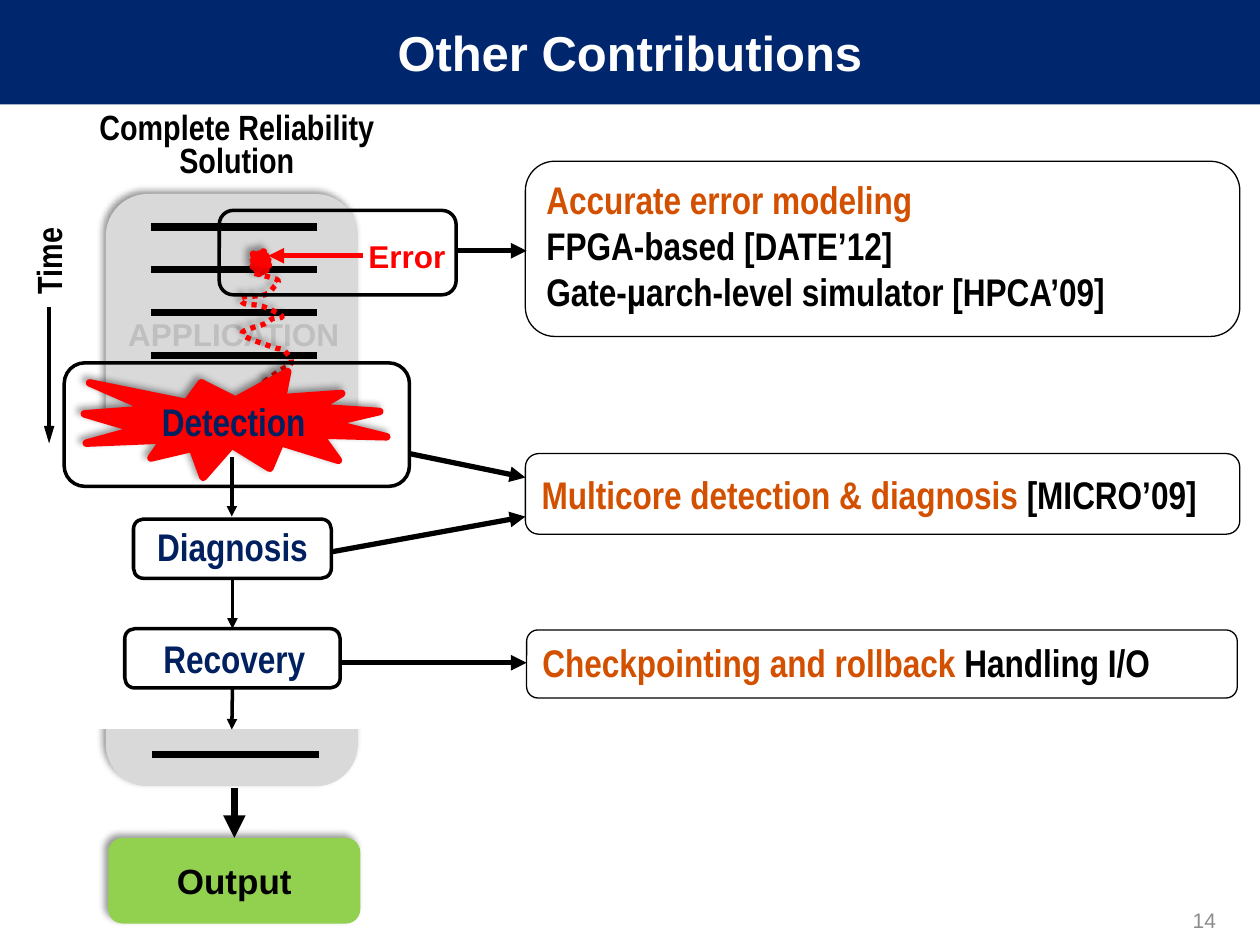
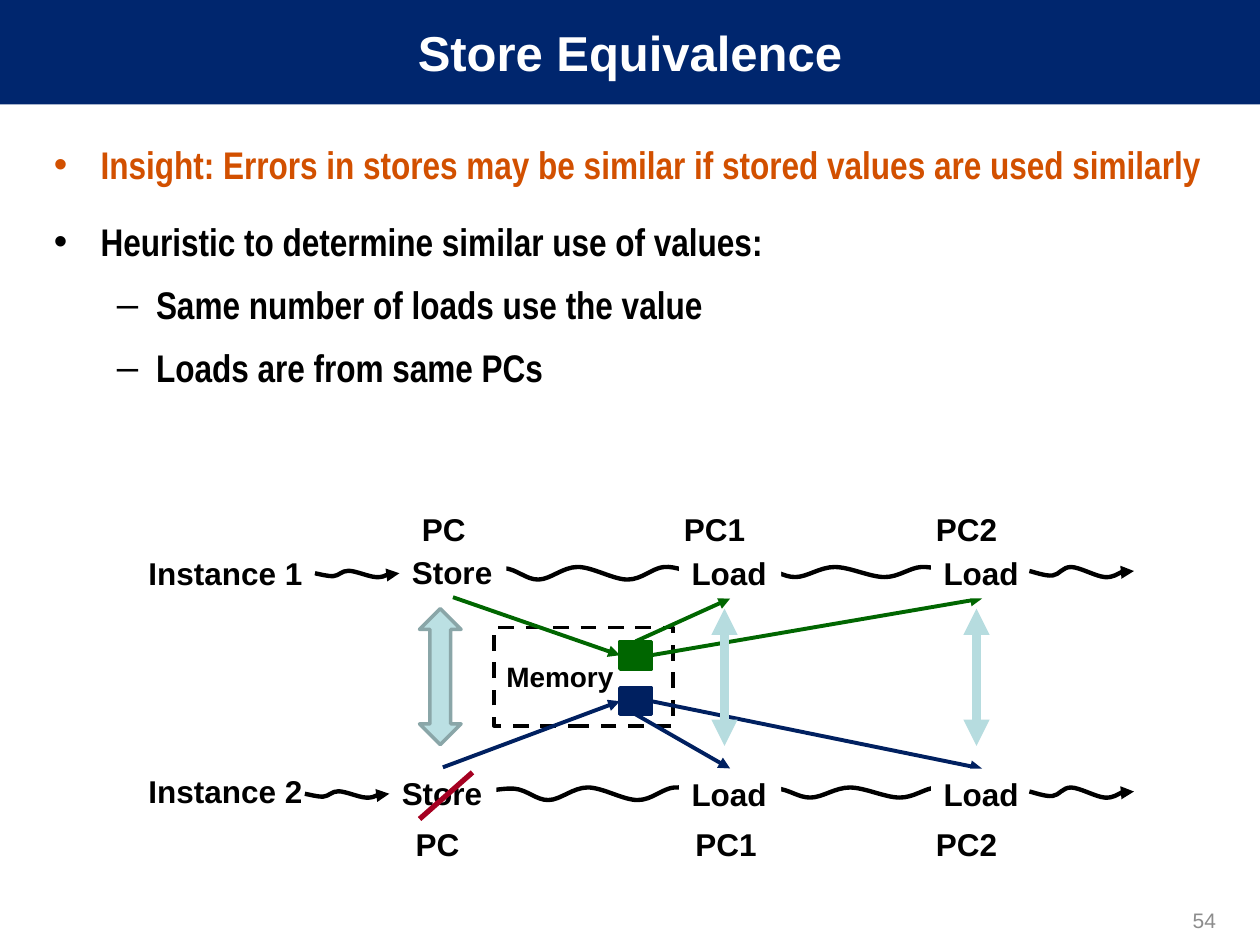
from dataclasses import dataclass

from lxml.etree import SubElement as Sub
from pptx import Presentation
from pptx.dml.color import RGBColor as RGB
from pptx.enum.dml import MSO_LINE as Dash
from pptx.enum.shapes import MSO_CONNECTOR as Conn, MSO_SHAPE as Kind
from pptx.enum.text import MSO_ANCHOR as Anchor, PP_ALIGN as Align
from pptx.oxml.ns import qn
from pptx.util import Emu, Pt


@dataclass(frozen=True)
class Theme:
    band: str = "00266E"
    navy: str = "002060"
    rust: str = "D25000"
    red: str = "FF0000"
    strike: str = "A50021"
    green: str = "006600"
    lime: str = "92D050"
    pale: str = "BBE0E3"
    teal: str = "B6DCDF"
    slate: str = "8AA6A8"
    gray: str = "D9D9D9"
    faint: str = "BFBFBF"
    foot: str = "8C8C8C"
    black: str = "000000"
    white: str = "FFFFFF"
    sans: str = "Arial"
    thin: str = "Arial Narrow"
    title: int = 28
    body: int = 22
    head: int = 20
    label: int = 18
    small: int = 16
    page: int = 12


T = Theme()
SCALE = 9144  # EMU in one px, 100 px to the inch


def px(n):
    return Emu(round(n * SCALE))


# ---- Shapes, lines and text ----

def stroke(line, color, width, dash=None):
    line.color.rgb = RGB.from_string(color)
    line.width = Pt(width)
    if dash:
        line.dash_style = dash


def tips(item, head, tail, size="med"):
    ln = item._element.spPr.get_or_add_ln()
    for tag, on in (("a:headEnd", head), ("a:tailEnd", tail)):
        if on:
            Sub(ln, qn(tag), type="triangle", len=size)


def shade(shape):
    glow = Sub(shape._element.spPr.find(qn("a:effectLst")), qn("a:outerShdw"),
               blurRad=str(Pt(4)), dist=str(Pt(3)), dir=str(225 * 60000),
               algn="br", rotWithShape="0")
    tint = Sub(glow, qn("a:srgbClr"), val=T.black)
    Sub(tint, qn("a:alpha"), val="40000")


def box(slide, kind, rect, fill=None, edge=None, width=2, dash=None, glow=False):
    shape = slide.shapes.add_shape(kind, *map(px, rect))
    shape.shadow.inherit = False
    if fill:
        shape.fill.solid()
        shape.fill.fore_color.rgb = RGB.from_string(fill)
    else:
        shape.fill.background()
    if edge:
        stroke(shape.line, edge, width, dash)
    else:
        shape.line.fill.background()
    if glow:
        shade(shape)
    return shape


def write(shape, paras, size, face=T.sans, align=Align.LEFT,
          anchor=Anchor.TOP, wrap=True, bold=True, gap=1.0):
    """Each paragraph is a list of (text, colour) runs."""
    frame = shape.text_frame
    frame.word_wrap = wrap
    frame.vertical_anchor = anchor
    for i, runs in enumerate(paras):
        para = frame.add_paragraph() if i else frame.paragraphs[0]
        para.alignment = align
        para.line_spacing = gap
        for text, color in runs:
            run = para.add_run()
            run.text = text
            font = run.font
            font.size, font.name, font.bold = Pt(size), face, bold
            font.color.rgb = RGB.from_string(color)
    return shape


def note(slide, rect, paras, size, **style):
    return write(slide.shapes.add_textbox(*map(px, rect)), paras, size, **style)


def line(slide, start, end, color=T.black, width=2, head=False, tail=True,
         size="med"):
    """An end is a point (x, y) or a joint (shape, side)."""
    ends = [p if isinstance(p[0], int) else (0, 0) for p in (start, end)]
    wire = slide.shapes.add_connector(Conn.STRAIGHT, *map(px, ends[0] + ends[1]))
    for p, join in ((start, wire.begin_connect), (end, wire.end_connect)):
        if not isinstance(p[0], int):
            join(*p)
    stroke(wire.line, color, width)
    tips(wire, head, tail, size)
    Sub(wire._element.spPr, qn("a:effectLst"))
    return wire


def bend(shape):
    """Turn the straight segments of an outline into smooth Bezier curves."""
    outline = shape._element.spPr.find(".//" + qn("a:path"))
    knots = [(int(p.get("x")), int(p.get("y"))) for p in outline.iter(qn("a:pt"))]
    knots = [knots[0], *knots, knots[-1]]
    for seg in outline.findall(qn("a:lnTo")):
        outline.remove(seg)
    for a, b, c, d in zip(knots, knots[1:], knots[2:], knots[3:]):
        seg = Sub(outline, qn("a:cubicBezTo"))
        out = [q + (r - p) / 6 for p, q, r in zip(a, b, c)]
        into = [r - (s - q) / 6 for q, r, s in zip(b, c, d)]
        for x, y in (out, into, c):
            Sub(seg, qn("a:pt"), x=str(round(x)), y=str(round(y)))


def curve(slide, knots, color, width, dash=None, tail=False):
    spots = [(px(x), px(y)) for x, y in knots]
    pen = slide.shapes.build_freeform(*spots[0])
    pen.add_line_segments(spots[1:], close=False)
    shape = pen.convert_to_shape()
    bend(shape)
    shape.shadow.inherit = False
    shape.fill.background()
    stroke(shape.line, color, width, dash)
    tips(shape, False, tail)
    return shape


def frame(deck, title, page):
    """Blank slide with the title band and page number."""
    slide = deck.slides.add_slide(deck.slide_layouts[6])
    band = box(slide, Kind.RECTANGLE, (0, 0, 1000, 83), T.band)
    write(band, [[(title, T.white)]], T.title, align=Align.CENTER,
          anchor=Anchor.MIDDLE)
    note(slide, (742, 710, 233, 40), [[(page, T.foot)]], T.page,
         align=Align.RIGHT, anchor=Anchor.MIDDLE, bold=False)
    return slide


# ---- Slide: Other Contributions ----

SQUIGGLE = [(202, 217), (220, 222), (218, 227), (210, 234), (192, 236),
            (194, 241), (208, 243), (224, 251), (216, 253), (210, 257),
            (192, 265), (218, 276), (224, 277), (231, 285), (230, 290),
            (224, 293), (210, 303), (212, 306), (218, 309), (216, 320),
            (210, 333), (222, 342)]


def app(slide, x, y):
    """Grey application block, its code bars and the output."""
    box(slide, Kind.ROUNDED_RECTANGLE, (x, y, 200, 470), T.gray, glow=True)
    note(slide, (x + 7, y + 91, 189, 40), [[("APPLICATION", T.faint)]], T.label,
         align=Align.CENTER, wrap=False)
    bars = [(x + 36, y + 26 + 34 * i) for i in range(4)] + [(x + 37, y + 445)]
    for left, top in bars:
        line(slide, (left, top), (left + 132, top), width=4.32, tail=False)
    out = box(slide, Kind.ROUNDED_RECTANGLE, (x + 2, y + 511, 200, 68), T.lime,
              glow=True)
    write(out, [[("Output", T.black)]], T.head, align=Align.CENTER,
          anchor=Anchor.MIDDLE)
    line(slide, (x + 102, y + 471), (out, 0), width=4.32)
    # White gap between the code and its end
    box(slide, Kind.RECTANGLE, (x - 22, y + 174, 248, 250), T.white, T.white, 0.75)


def clock(slide, x, y):
    """Upright time label and its arrow."""
    tag = note(slide, (x - 45, y, 89, 44), [[("Time", T.black)]], T.head,
               face=T.thin)
    tag.rotation = 270
    line(slide, (x, y + 67), (x, y + 175), size="lg")


def fault(slide, x, y):
    """Error, its spread and its detection."""
    box(slide, Kind.EXPLOSION1, (x, y, 12, 17), T.red, T.red, 4.32, glow=True)
    line(slide, (x + 87, y + 3), (x + 12, y + 3), T.red, 3)
    note(slide, (x + 81, y - 17, 82, 40), [[("Error", T.red)]], T.label,
         align=Align.CENTER, wrap=False)
    shade(curve(slide, SQUIGGLE, T.red, 3, Dash.ROUND_DOT))
    burst = box(slide, Kind.EXPLOSION1, (x - 134, y + 95, 240, 84), T.red, T.red,
                4.32, glow=True)
    write(burst, [[("Detection", T.navy)]], T.body, T.thin, Align.CENTER,
          Anchor.MIDDLE, wrap=False)


def ring(slide, rect):
    return box(slide, Kind.ROUNDED_RECTANGLE, rect, edge=T.black)


def card(slide, rect, paras, anchor=Anchor.TOP):
    shape = box(slide, Kind.ROUNDED_RECTANGLE, rect, edge=T.black, width=0.75)
    return write(shape, paras, T.body, T.thin, anchor=anchor)


def contributions(deck):
    slide = frame(deck, "Other Contributions", "14")
    app(slide, 84, 154)
    clock(slide, 39, 177)
    note(slide, (69, 85, 238, 64),
         [[("Complete Reliability", T.black)], [("Solution", T.black)]],
         T.head, face=T.thin, align=Align.CENTER, gap=0.8)
    fault(slide, 201, 200)

    # Stages of the solution
    ring(slide, (174, 167, 188, 67))
    ring(slide, (51, 288, 274, 98))
    diag = ring(slide, (106, 412, 157, 47))
    rec = ring(slide, (99, 499, 171, 47))
    for rect, text in (((114, 410, 141, 47), "Diagnosis"),
                       ((119, 499, 134, 47), "Recovery")):
        note(slide, rect, [[(text, T.navy)]], T.body, face=T.thin,
             align=Align.CENTER, wrap=False)
    line(slide, (184, 363), (184, 410))
    line(slide, (diag, 2), (rec, 0))
    line(slide, (rec, 2), (184, 579))

    # Contributions to each stage
    card(slide, (417, 128, 567, 139), [
        [("Accurate error modeling", T.rust)],
        [("FPGA-based [DATE’12]", T.black)],
        [("Gate-µarch-level simulator [HPCA’09]", T.black)]])
    card(slide, (417, 360, 567, 64), [
        [("Multicore detection & diagnosis ", T.rust), ("[MICRO’09]", T.black)]],
        Anchor.MIDDLE)
    card(slide, (418, 500, 564, 54), [
        [("Checkpointing and rollback ", T.rust), ("Handling I/O", T.black)]])
    for start, end in (((362, 199), (418, 199)), ((325, 360), (417, 379)),
                       ((263, 438), (417, 410)), ((270, 526), (418, 526))):
        line(slide, start, end, width=3)


# ---- Slide: Store Equivalence ----

LONG = [(0, .5), (.16, .1), (.29, 1), (.44, 0), (.63, 1), (.77, 0), (.9, .55), (1, .55)]
SHORT = [(0, .4), (.22, .85), (.4, 0), (.72, 1), (.91, .4), (1, .4)]


def wave(slide, form, x, y, w, h, tail=False):
    curve(slide, [(x + u * w, y + v * h) for u, v in form], T.black, 2.5, tail=tail)


def points(slide, rect):
    """Bulleted text on two levels."""
    rows = [(0, "Insight: Errors in stores may be similar if stored values "
                "are used similarly", T.rust),
            (0, "Heuristic to determine similar use of values:", T.black),
            (1, "Same number of loads use the value", T.black),
            (1, "Loads are from same PCs", T.black)]
    levels = [("•", 37, 37, 12.2), ("–", 81, 31, 4.4)]
    text = note(slide, rect, [[(t, c)] for _, t, c in rows], T.body,
                face=T.thin, gap=1.2)
    for (level, _, color), para in zip(rows, text.text_frame.paragraphs):
        mark, left, hang, before = levels[level]
        para.space_before = Pt(before)
        ppr = para._p.get_or_add_pPr()
        ppr.set("marL", str(px(left)))
        ppr.set("indent", str(-px(hang)))
        Sub(ppr, qn("a:buFont"), typeface=T.sans)
        Sub(ppr, qn("a:buChar"), char=mark)


def memory(slide, x, y):
    """Dashed memory box with a cell for each instance."""
    area = box(slide, Kind.RECTANGLE, (x, y, 142, 78), T.white, T.black, 2.25,
               Dash.DASH)
    write(area, [[("Memory", T.black)]], T.small, anchor=Anchor.MIDDLE)
    return [box(slide, Kind.RECTANGLE, (x + 100, y + dy, 25, h), color, color)
            for dy, h, color in ((11, 22, T.green), (48, 21, T.navy))]


def lane(slide, x, y, name, slip, waves, tags, rise):
    """One instance: its store, loads and counters; returns store and loads."""
    def word(dx, dy, w, text):
        shape = box(slide, Kind.RECTANGLE, (x + dx, y + dy, w, 40), T.white)
        return write(shape, [[(text, T.black)]], T.label, wrap=False)

    for dx, h in zip(waves, (10, 8)):
        wave(slide, LONG, x + dx, y + 15, 208, h)
    for dx, w, text in zip(tags, (55, 69, 69), ("PC", "PC1", "PC2")):
        word(dx, rise, w, text)
    note(slide, (x, y + slip // 4, 144, 40), [[(name, T.black)]], T.label,
         wrap=False)
    store = word(209 + slip, -1, 85, "Store")
    loads = [word(dx, 0, 81, "Load") for dx in (431, 631)]
    wave(slide, SHORT, x + 142 + slip, y + 18, 67, 5, tail=True)
    wave(slide, SHORT, x + 709, y + 15, 83, 8, tail=True)
    return store, loads


def wires(slide, store, loads, cell, color, side):
    """Store to cell and cell to loads; side faces the memory."""
    line(slide, (store, side), (cell, 1), color, 2.25)
    for load, out in zip(loads, (2 - side, 3)):
        wire = line(slide, (cell, out), (load, side), color, 2.25)
        load._element.addprevious(wire._element)  # labels cover the tips


def equivalence(deck):
    slide = frame(deck, "Store Equivalence", "54")
    points(slide, (33, 100, 958, 258))
    top, low = memory(slide, 392, 498)
    first = lane(slide, 108, 435, "Instance 1", 0, (259, 463), (217, 425, 625), -35)
    second = lane(slide, 108, 610, "Instance 2", -8, (267, 475), (212, 434, 625), 40)
    wires(slide, *first, top, T.green, 2)
    wires(slide, *second, low, T.navy, 0)

    # Matching pairs
    box(slide, Kind.UP_DOWN_ARROW, (333, 483, 33, 108), T.pale, T.slate)
    for x in (575, 775):
        line(slide, (x, 483), (x, 592), T.teal, 5, head=True)
    # Pruned store
    line(slide, (333, 650), (375, 613), T.strike, 3, tail=False)


def main():
    deck = Presentation()
    deck.slide_width, deck.slide_height = px(1000), px(750)
    contributions(deck)
    equivalence(deck)
    deck.save("out.pptx")


if __name__ == "__main__":
    main()
